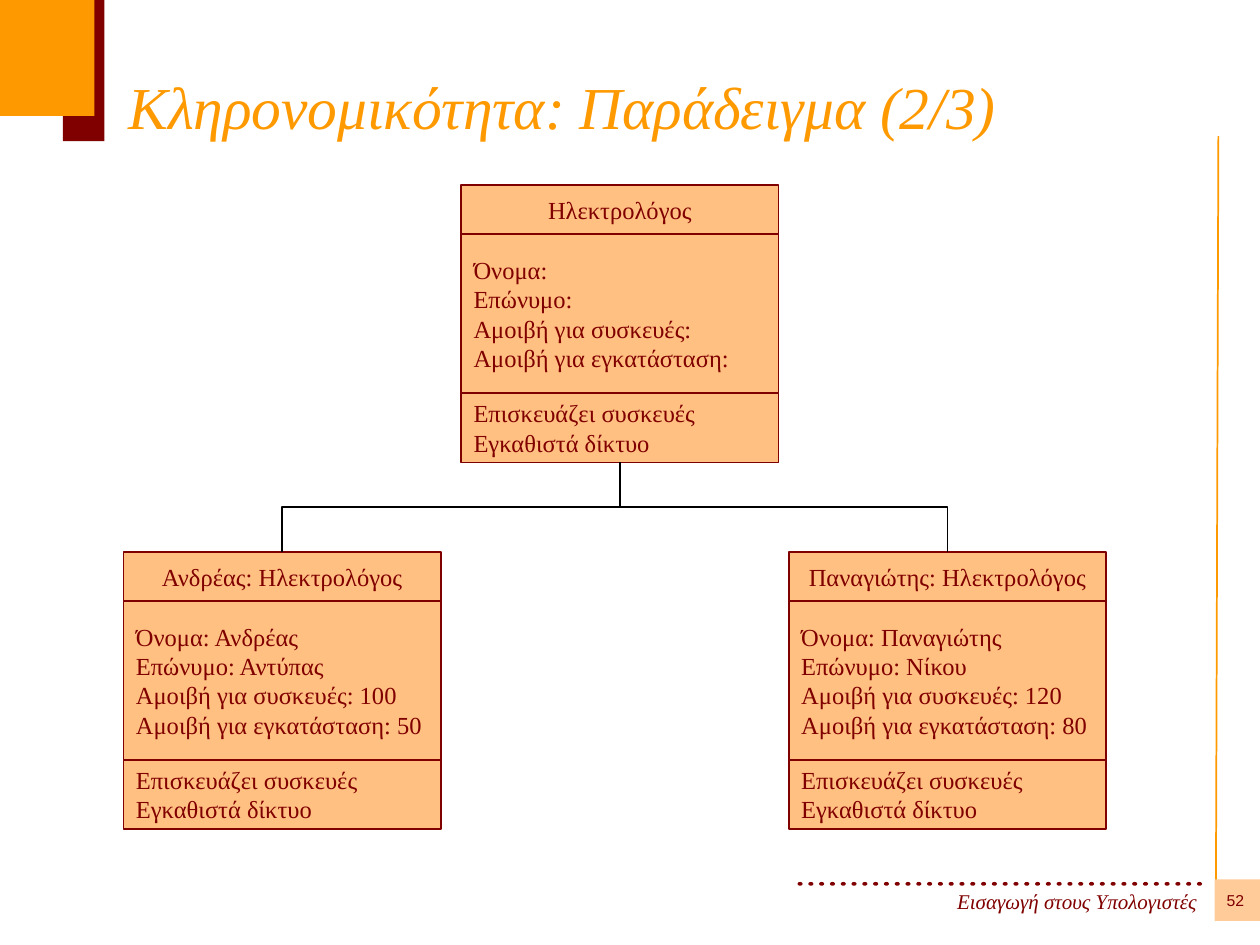
from lxml import etree
from pptx import Presentation
from pptx.dml.color import RGBColor
from pptx.enum.shapes import MSO_CONNECTOR as CONNECTOR, MSO_SHAPE as SHAPE
from pptx.enum.text import MSO_ANCHOR as ANCHOR, PP_ALIGN as ALIGN
from pptx.oxml.ns import qn
from pptx.util import Inches, Pt

COLORS = {"orange": "FF9900", "maroon": "800000", "box": "FFC081",
          "page": "FFCC99", "black": "000000"}
SERIF = "Times New Roman"
BOX_WIDTH = 2.52
ROW_HEIGHTS = (0.39, 1.26, 0.55)
METHODS = "Επισκευάζει συσκευές\nΕγκαθιστά δίκτυο"
PARENT_TOP, CHILD_TOP = 1.47, 4.38


def color(name):
    return RGBColor.from_string(COLORS[name])


def write_text(shape, text, size, color_name="maroon", font=SERIF, italic=False,
               align=ALIGN.LEFT, anchor=ANCHOR.MIDDLE, margins=(0.1, 0.05), wrap=False):
    frame = shape.text_frame
    frame.text = text
    frame.word_wrap = wrap
    frame.vertical_anchor = anchor
    frame.margin_left = frame.margin_right = Inches(margins[0])
    frame.margin_top = frame.margin_bottom = Inches(margins[1])
    for paragraph in frame.paragraphs:
        paragraph.alignment = align
        for run in paragraph.runs:
            run.font.name = font
            run.font.size = Pt(size)
            run.font.italic = italic
            run.font.color.rgb = color(color_name)


def add_filled(shapes, kind, left, top, width, height, fill, line=None):
    shape = shapes.add_shape(kind, Inches(left), Inches(top), Inches(width), Inches(height))
    shape.shadow.inherit = False
    shape.fill.solid()
    shape.fill.fore_color.rgb = color(fill)
    if line:
        shape.line.color.rgb = color(line)
        shape.line.width = Pt(1)
    else:
        shape.line.fill.background()
    return shape


def add_line(slide, kind, start, end, line):
    connector = slide.shapes.add_connector(kind, *map(Inches, start + end))
    connector.line.color.rgb = color(line)
    connector.line.width = Pt(1)
    etree.SubElement(connector._element.spPr, qn("a:effectLst"))
    return connector


def add_class_box(slide, left, top, name, attributes):
    """Draw a three-row class box and return its first and last rows."""
    group = slide.shapes.add_group_shape()
    rows = []
    for height, text in zip(ROW_HEIGHTS, (name, attributes, METHODS)):
        row = add_filled(group.shapes, SHAPE.RECTANGLE, left, top, BOX_WIDTH, height,
                         "box", "maroon")
        write_text(row, text, 14, align=ALIGN.LEFT if rows else ALIGN.CENTER)
        rows.append(row)
        top += height
    return rows[0], rows[-1]


def join_child(slide, child, parent):
    """Run an elbow from the child's top up to the parent's bottom."""
    start_x, start_y = child.left + child.width // 2, child.top
    end_x, end_y = parent.left + parent.width // 2, parent.top + parent.height
    connector = add_line(slide, CONNECTOR.ELBOW, (0, 0), (1, 1), "black")
    connector.begin_connect(child, 0)
    connector.end_connect(parent, 2)
    # The elbow leaves vertically, so its frame is turned a quarter about its centre.
    connector.width, connector.height = start_y - end_y, abs(end_x - start_x)
    connector.left = (start_x + end_x - connector.width) // 2
    connector.top = (start_y + end_y - connector.height) // 2
    from_right = start_x > end_x
    frame = connector._element.spPr.find(qn("a:xfrm"))
    frame.set("rot", str((90 if from_right else 270) * 60000))
    frame.set("flipH", "1" if from_right else "0")
    frame.set("flipV", "0")


def add_decoration(slide):
    add_line(slide, CONNECTOR.STRAIGHT, (9.65, 7.14), (9.67, 1.08), "orange")
    add_filled(slide.shapes, SHAPE.RECTANGLE, 0.5, 0, 0.33, 1.12, "maroon")
    add_filled(slide.shapes, SHAPE.RECTANGLE, 0, 0, 0.75, 0.92, "orange")
    dots = slide.shapes.add_group_shape()
    dot_count, first, last = 38, 6.33, 9.5
    for index in range(dot_count):
        left = first + index * (last - first) / (dot_count - 1)
        add_filled(dots.shapes, SHAPE.OVAL, left, 7, 0.04, 0.03, "maroon")


def add_footer(slide):
    footer = slide.shapes.add_textbox(Inches(0.75), Inches(7), Inches(8.75), Inches(0.3))
    write_text(footer, "Εισαγωγή στους Υπολογιστές", 12, italic=True, align=ALIGN.RIGHT,
               anchor=ANCHOR.TOP, margins=(0, 0.05), wrap=True)
    add_filled(slide.shapes, SHAPE.RECTANGLE, 9.64, 6.98, 0.36, 0.33, "page")
    number = slide.shapes.add_textbox(Inches(9.65), Inches(6.98), Inches(0.31), Inches(0.33))
    write_text(number, "52", 9, font="Arial", align=ALIGN.CENTER, margins=(0, 0))


def add_title(slide):
    title = slide.shapes.title
    title.left, title.top = Inches(0.92), Inches(0.5)
    title.width, title.height = Inches(8.58), Inches(0.67)
    write_text(title, "Κληρονομικότητα: Παράδειγμα (2/3)", 34, "orange", italic=True,
               anchor=ANCHOR.BOTTOM, wrap=True)


def attribute_list(*values):
    labels = ("Όνομα:", "Επώνυμο:", "Αμοιβή για συσκευές:", "Αμοιβή για εγκατάσταση:")
    if not values:
        return "\n".join(labels)
    return "\n".join(f"{label} {value}" for label, value in zip(labels, values))


def main():
    presentation = Presentation()
    presentation.slide_width, presentation.slide_height = Inches(10), Inches(7.5)
    slide = presentation.slides.add_slide(presentation.slide_layouts[5])
    add_decoration(slide)
    add_footer(slide)
    add_title(slide)

    _, parent = add_class_box(slide, 3.66, PARENT_TOP, "Ηλεκτρολόγος", attribute_list())
    children = (
        (0.98, "Ανδρέας", "Αντύπας", 100, 50),
        (6.26, "Παναγιώτης", "Νίκου", 120, 80),
    )
    for left, name, *details in children:
        child, _ = add_class_box(slide, left, CHILD_TOP, f"{name}: Ηλεκτρολόγος",
                                 attribute_list(name, *details))
        join_child(slide, child, parent)
    presentation.save("out.pptx")


if __name__ == "__main__":
    main()
